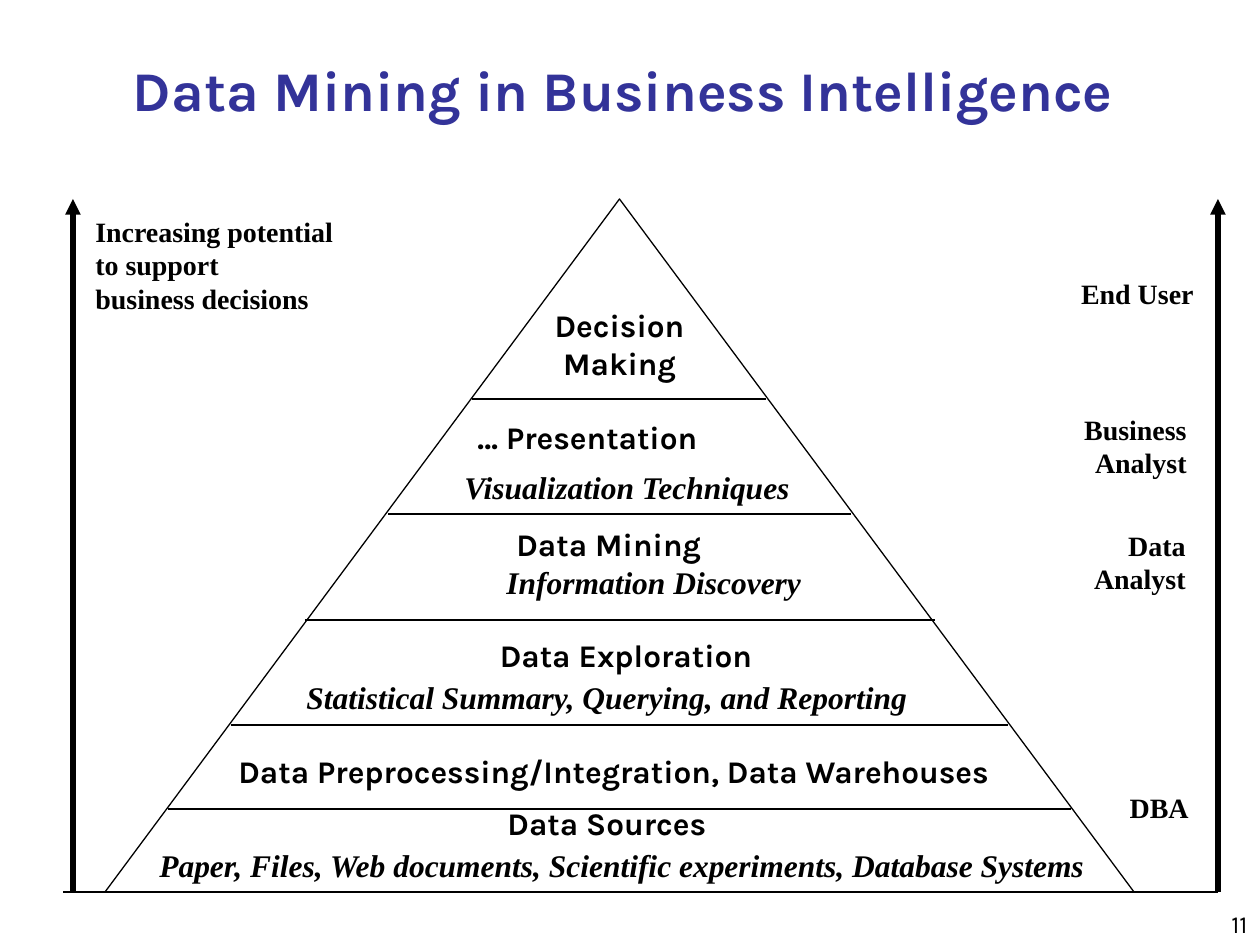
import pptx
import pptx.util
import pptx.dml.color
import pptx.enum.shapes
import pptx.enum.text
import pptx.oxml.ns
import lxml.etree

SCALE = 914400 / 126  # EMU in one px
HUES = {"ink": "000000", "title": "333399"}
SANS, SERIF = "Karla", "Times New Roman"
ALIGN = pptx.enum.text.PP_ALIGN
ANCHOR = pptx.enum.text.MSO_ANCHOR
qn = pptx.oxml.ns.qn

deck = pptx.Presentation()
deck.slide_width = round(1260 * SCALE)
deck.slide_height = round(945 * SCALE)
slide = deck.slides.add_slide(deck.slide_layouts[6])


def write(lines, box, size, font, align=ALIGN.LEFT, bold=True, slant=False,
          hue="ink", anchor=ANCHOR.TOP):
    shape = slide.shapes.add_textbox(*[round(n * SCALE) for n in box])
    frame = shape.text_frame
    frame.word_wrap = True
    frame.vertical_anchor = anchor
    for i, line in enumerate(lines):
        para = frame.paragraphs[0] if i == 0 else frame.add_paragraph()
        para.alignment = align
        run = para.add_run()
        run.text = line
        run.font.name = font
        run.font.size = pptx.util.Pt(size)
        run.font.bold = bold
        run.font.italic = slant
        run.font.color.rgb = pptx.dml.color.RGBColor.from_string(HUES[hue])


def rule(ends, width, arrow=False):
    line = slide.shapes.add_connector(
        pptx.enum.shapes.MSO_CONNECTOR.STRAIGHT,
        *[round(n * SCALE) for n in ends])
    line.line.width = pptx.util.Pt(width)
    line.line.color.rgb = pptx.dml.color.RGBColor.from_string(HUES["ink"])
    if arrow:
        tip = lxml.etree.SubElement(line.line._get_or_add_ln(), qn("a:tailEnd"))
        tip.set("type", "triangle")
    lxml.etree.SubElement(line._element.spPr, qn("a:effectLst"))


# Page number and title
write(["11"], (998, 882, 262, 63), 14, SANS, ALIGN.RIGHT, bold=False,
      anchor=ANCHOR.BOTTOM)
write(["Data Mining in Business Intelligence"], (25, 53, 1197, 73), 32, SANS,
      ALIGN.CENTER, hue="title", anchor=ANCHOR.MIDDLE)

# Pyramid
top, base = 199, 892
cone = slide.shapes.add_shape(
    pptx.enum.shapes.MSO_SHAPE.FLOWCHART_EXTRACT,
    *[round(n * SCALE) for n in (105, top, 1029, base - top)])
cone.shadow.inherit = False
cone.fill.background()
cone.line.width = pptx.util.Pt(0.75)
cone.line.color.rgb = pptx.dml.color.RGBColor.from_string(HUES["ink"])

# Lines between the levels, and the ground line
for left, right, y in [(168, 1071, 809), (231, 1008, 725), (305, 935, 620),
                       (388, 851, 514), (472, 766, 399), (63, 1218, base)]:
    rule((left, y, right, y), 0.75)

# Upward arrows at both sides
for x in (73, 1218):
    rule((x, base, x, top), 3, arrow=True)

# Note beside the left arrow
write(["Increasing potential", "to support", "business decisions"],
      (83, 208, 290, 113), 16, SERIF)

# Roles, set flush right
for lines, right, y in [(["End User"], 1206, 270),
                        (["Business", "Analyst"], 1199, 406),
                        (["Data", "Analyst"], 1198, 522),
                        (["DBA"], 1201, 784)]:
    write(lines, (right - 160, y, 160, 13 + 34 * len(lines)), 16, SERIF,
          ALIGN.RIGHT)

# Level names
for name, x, y, width, align in [
        ("Decision Making", 536, 300, 167, ALIGN.CENTER),
        ("… Presentation", 465, 412, 280, ALIGN.LEFT),
        ("Data Mining", 504, 519, 246, ALIGN.LEFT),
        ("Data Exploration", 464, 630, 324, ALIGN.CENTER),
        ("Data Preprocessing/Integration, Data Warehouses", 226, 746, 819,
         ALIGN.LEFT),
        ("Data Sources", 495, 798, 260, ALIGN.LEFT)]:
    write([name], (x, y, width, 50), 18, SANS, align)

# Level details
for note, x, y, width in [
        ("Visualization Techniques", 452, 462, 370),
        ("Information Discovery", 494, 557, 340),
        ("Statistical Summary, Querying, and Reporting", 294, 672, 650),
        ("Paper, Files, Web documents, Scientific experiments, "
         "Database Systems", 147, 840, 982)]:
    write([note], (x, y, width, 50), 18, SERIF, slant=True)

deck.save("out.pptx")
